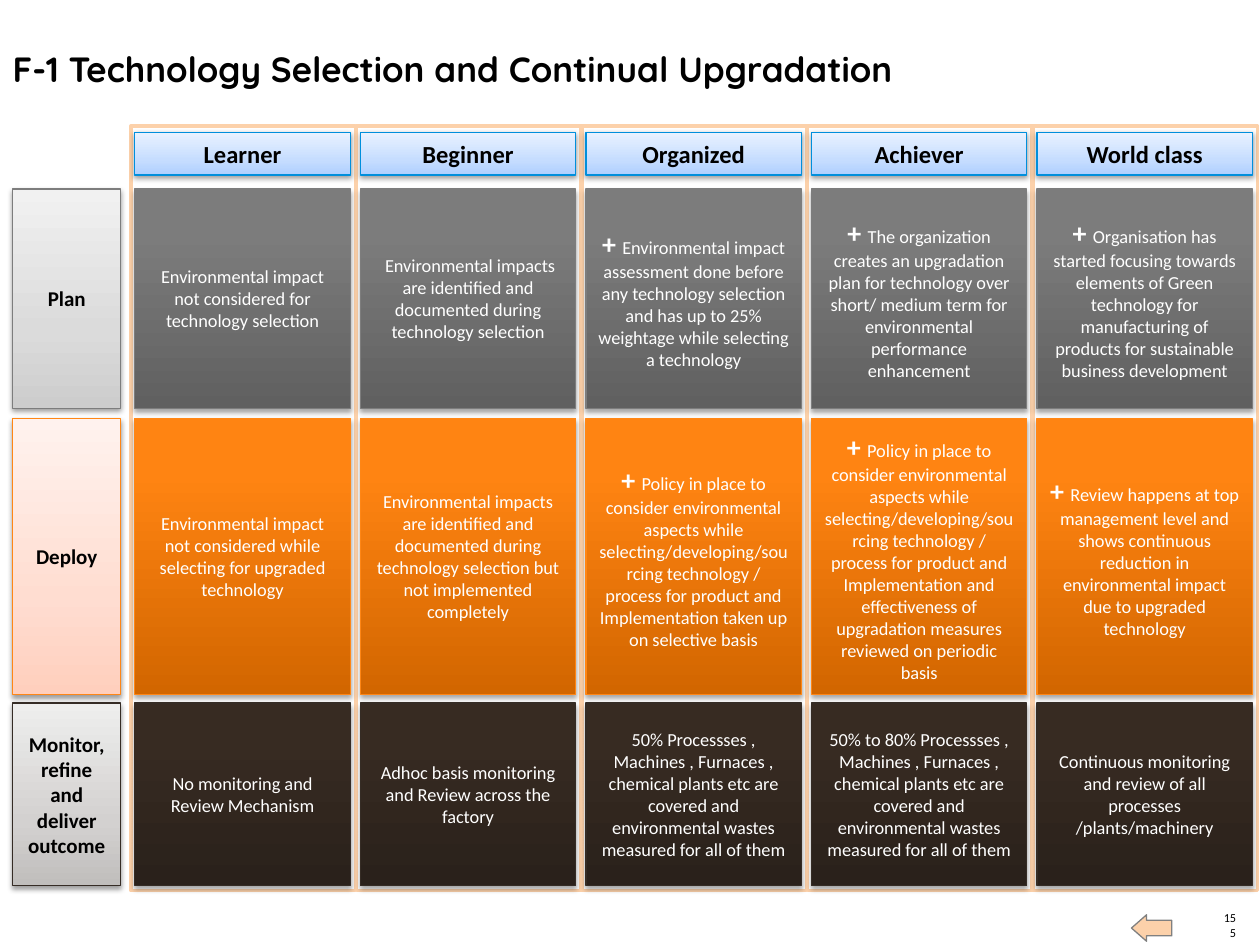
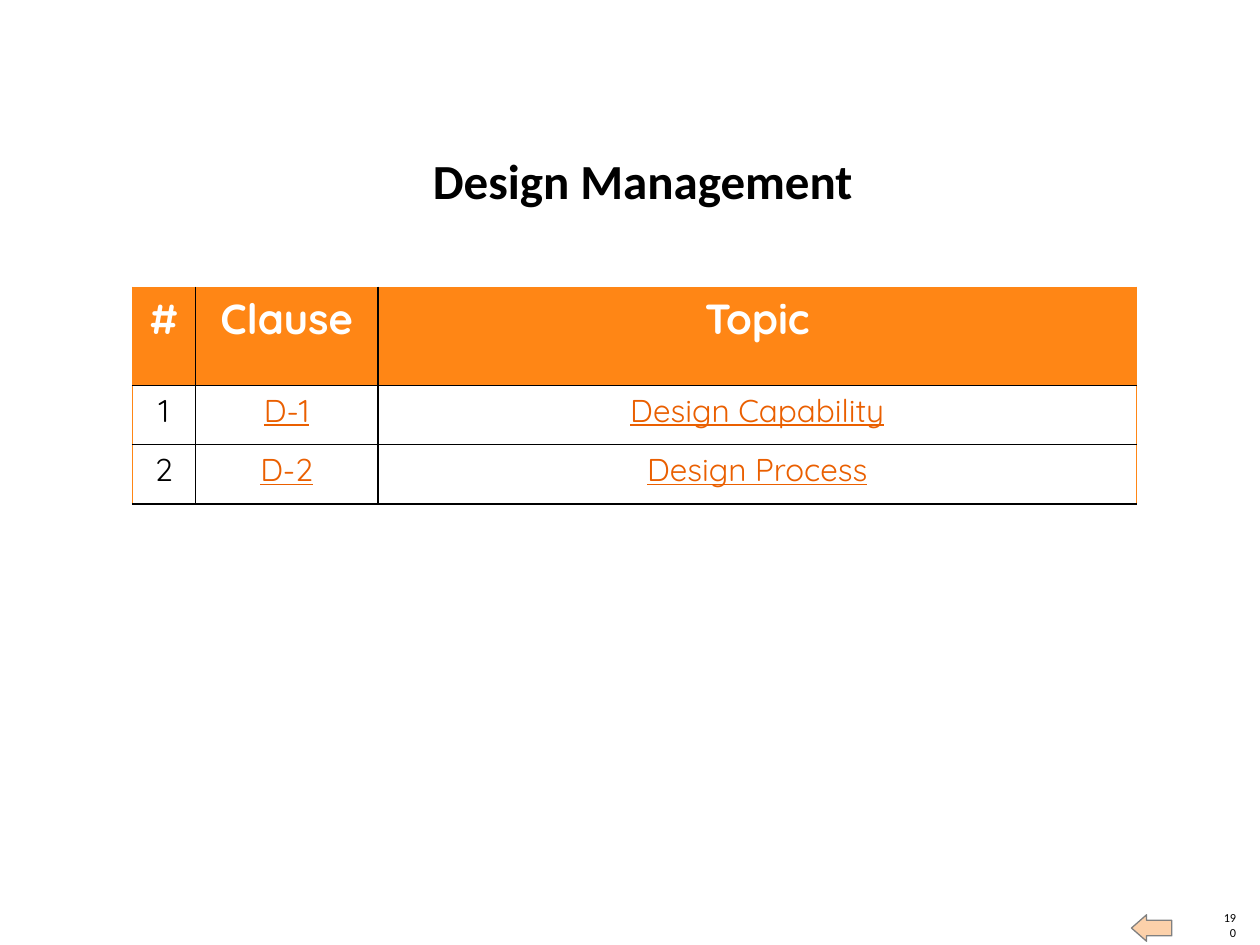
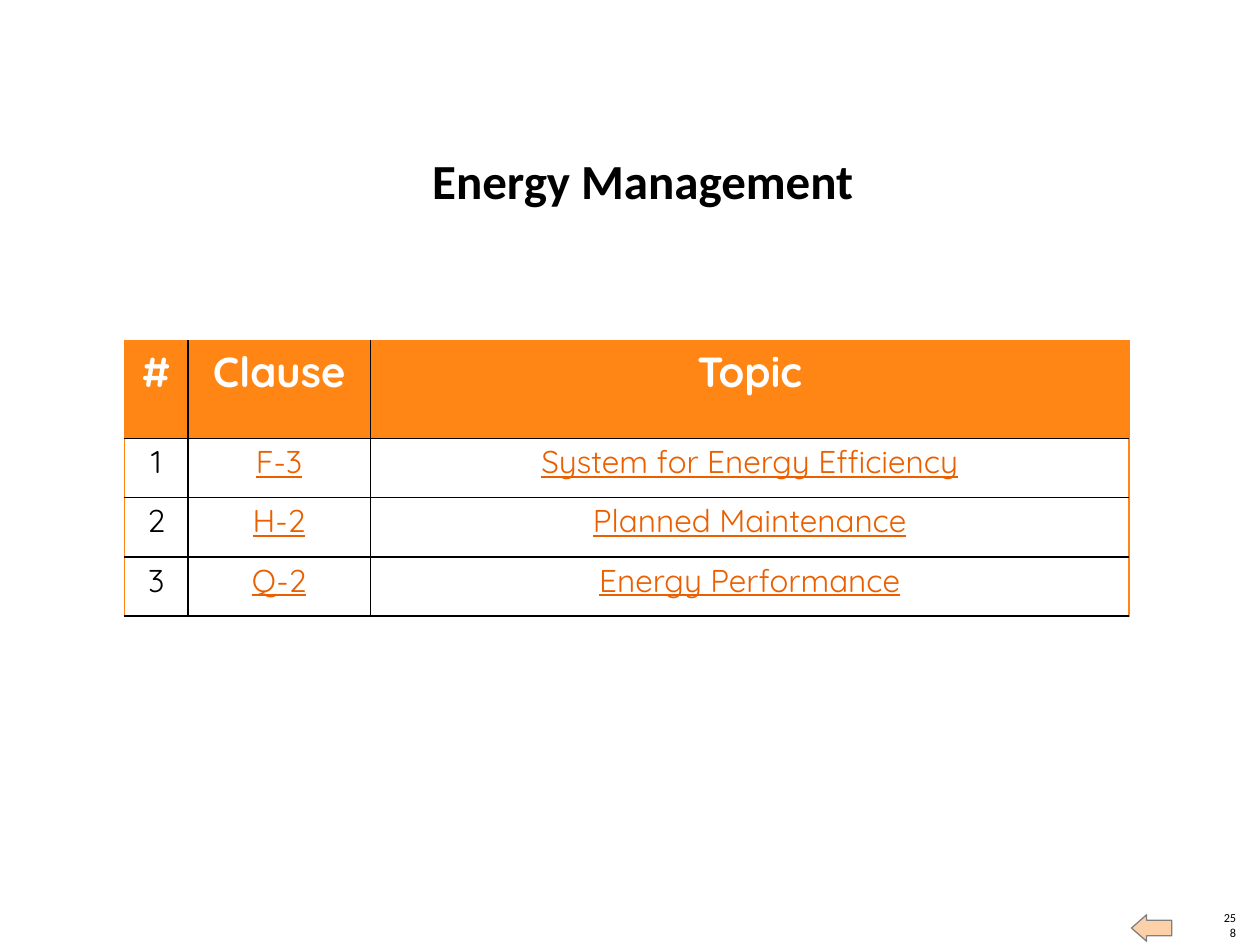
import copy

import lxml.etree
import pptx
import pptx.dml.color
import pptx.enum.shapes
import pptx.enum.text
import pptx.oxml.ns
import pptx.util

Inches = pptx.util.Inches
Pt = pptx.util.Pt
RGBColor = pptx.dml.color.RGBColor
Align = pptx.enum.text.PP_ALIGN
Anchor = pptx.enum.text.MSO_ANCHOR
Preset = pptx.enum.shapes.MSO_SHAPE
qn = pptx.oxml.ns.qn

# Shared look
BLACK = RGBColor(0x00, 0x00, 0x00)
WHITE = RGBColor(0xFF, 0xFF, 0xFF)
ORANGE = RGBColor(0xFF, 0x86, 0x15)
PEACH = RGBColor(0xFC, 0xD1, 0xAA)
LINK = RGBColor(0xEA, 0x5F, 0x00)
GREY = RGBColor(0x7D, 0x7D, 0x7D)
ARROW_EDGE = RGBColor(0x80, 0x80, 0x80)
BROWN = RGBColor(0x35, 0x2C, 0x25)
BLUE = RGBColor(0x00, 0x8F, 0xDC)
BODY_FONT = "Calibri"
DISPLAY_FONT = "Quicksand"

# Gradients run from the bottom up: (percent, colour)
LEVEL_FILL = [(0, RGBColor(0xAE, 0xCF, 0xFF)), (35, RGBColor(0xC6, 0xDD, 0xFF)),
              (100, RGBColor(0xE9, 0xF2, 0xFF))]
PALE_GREY = [(0, RGBColor(0xCD, 0xCD, 0xCD)), (35, RGBColor(0xDB, 0xDB, 0xDB)),
             (100, RGBColor(0xF1, 0xF1, 0xF1))]
PALE_ORANGE = [(0, RGBColor(0xFF, 0xCF, 0xBD)), (35, RGBColor(0xFF, 0xDD, 0xD1)),
               (100, RGBColor(0xFF, 0xF2, 0xEE))]
PALE_BROWN = [(0, RGBColor(0xC0, 0xBE, 0xBC)), (35, RGBColor(0xD3, 0xD1, 0xD0)),
              (100, RGBColor(0xEE, 0xEE, 0xED))]
DARK_GREY = [(0, RGBColor(0x60, 0x60, 0x60)), (80, RGBColor(0x7C, 0x7C, 0x7C)),
             (100, GREY)]
DARK_ORANGE = [(0, RGBColor(0xD2, 0x66, 0x00)), (80, RGBColor(0xFF, 0x84, 0x12)),
               (100, RGBColor(0xFF, 0x85, 0x14))]
DARK_BROWN = [(0, RGBColor(0x2A, 0x21, 0x1B)), (80, RGBColor(0x37, 0x2B, 0x22)),
              (100, RGBColor(0x37, 0x2B, 0x22))]

# Maturity matrix; a leading "+ " marks an added requirement
MATRIX_TITLE = "F-1 Technology Selection and Continual Upgradation"
LEVELS = ["Learner", "Beginner", "Organized", "Achiever", "World class"]
STAGES = [
    {"name": "Plan", "top": 1.5, "height": 1.74,
     "pale": PALE_GREY, "dark": DARK_GREY, "edge": GREY,
     "cells": [
         "Environmental impact not considered for technology selection",
         " Environmental impacts are identified and documented during technology selection",
         "+ Environmental impact assessment done before any technology selection and "
         "has up to 25% weightage while selecting a technology",
         "+ The organization creates an upgradation plan for technology over short/ "
         "medium term for environmental performance enhancement",
         "+ Organisation has started focusing towards elements of Green technology "
         "for manufacturing of products for sustainable business development"]},
    {"name": "Deploy", "top": 3.32, "height": 2.19,
     "pale": PALE_ORANGE, "dark": DARK_ORANGE, "edge": ORANGE,
     "cells": [
         "Environmental impact not considered while selecting for upgraded technology",
         "Environmental impacts are identified and documented during technology "
         "selection but not implemented completely",
         "+ Policy in place to consider environmental aspects while "
         "selecting/developing/sourcing technology / process for product and "
         "Implementation taken up on selective basis",
         "+ Policy in place to consider environmental aspects while "
         "selecting/developing/sourcing technology / process for product and "
         "Implementation and effectiveness of upgradation measures reviewed on "
         "periodic basis",
         "+ Review happens at top management level and shows continuous reduction "
         "in environmental impact due to upgraded technology"]},
    {"name": "Monitor, refine and deliver outcome", "top": 5.58, "height": 1.45,
     "pale": PALE_BROWN, "dark": DARK_BROWN, "edge": BROWN,
     "cells": [
         "No monitoring and Review Mechanism",
         "Adhoc basis monitoring and Review across the factory",
         "50% Processses , Machines , Furnaces , chemical plants etc are covered "
         "and environmental wastes measured for all of them",
         "50% to 80% Processses , Machines , Furnaces , chemical plants etc are "
         "covered and environmental wastes measured for all of them",
         "Continuous monitoring and review of all processes /plants/machinery"]},
]

# Clause lists
CLAUSE_HEADINGS = ["#", "Clause", "Topic"]
CLAUSE_PAGES = [
    {"title": "Design Management", "number": "190", "left": 1.05, "top": 2.28,
     "margins": (0.07, 0.04),
     "clauses": [("D-1", "Design Capability"), ("D-2", "Design Process")]},
    {"title": "Energy Management", "number": "258", "left": 0.99, "top": 2.7,
     "margins": (0.06, 0.03),
     "clauses": [("F-3", "System for Energy Efficiency"),
                 ("H-2", "Planned Maintenance"),
                 ("Q-2", "Energy Performance")]},
]
CLAUSE_WIDTHS = [0.5, 1.45, 6.02]
HEADING_HEIGHT, CLAUSE_HEIGHT = 0.78, 0.47

# Matrix grid
LABEL_LEFT, LABEL_WIDTH = 0.1, 0.86
COLUMN_LEFT, COLUMN_STEP, COLUMN_WIDTH = 1.07, 1.79, 1.71
FRAME_TOP, FRAME_WIDTH, FRAME_HEIGHT, FRAME_MARGIN = 1, 1.78, 6.07, 0.03
LEVEL_TOP, LEVEL_HEIGHT = 1.05, 0.34


def add_span(para, text, size, color, font=BODY_FONT, bold=False, underline=False):
    span = para.add_run()
    span.text = text
    span.font.name = font
    span.font.size = Pt(size)
    span.font.color.rgb = color
    span.font.bold = bold
    span.font.underline = underline


def set_margins(holder, across, down):
    holder.margin_left = holder.margin_right = Inches(across)
    holder.margin_top = holder.margin_bottom = Inches(down)


def add_preset(page, preset, left, top, width, height, edge, edge_width=0.75):
    box = page.shapes.add_shape(preset, Inches(left), Inches(top),
                                Inches(width), Inches(height))
    box.shadow.inherit = False
    box.line.color.rgb = edge
    box.line.width = Pt(edge_width)
    return box


def set_gradient(box, stops):
    box.fill.gradient()
    box.fill.gradient_angle = 90
    stop_list = box._element.spPr.find(".//" + qn("a:gsLst"))
    stop_list.append(copy.deepcopy(stop_list[0]))
    for stop, (percent, color) in zip(box.fill.gradient_stops, stops):
        stop.position = percent / 100
        stop.color.rgb = color


def add_shadow(box, opacity, distance):
    effects = box._element.spPr.find(qn("a:effectLst"))
    shadow = lxml.etree.SubElement(
        effects, qn("a:outerShdw"), blurRad=str(Pt(3.1)), dist=str(Pt(distance)),
        dir="5400000", rotWithShape="0")
    color = lxml.etree.SubElement(shadow, qn("a:srgbClr"), val=str(BLACK))
    lxml.etree.SubElement(color, qn("a:alpha"), val=str(opacity * 1000))


def add_tile(page, place, stops, edge, opacity=38, distance=1.6):
    """Add a shaded, shadowed box and return its centred paragraph."""
    box = add_preset(page, Preset.RECTANGLE, *place, edge)
    set_gradient(box, stops)
    add_shadow(box, opacity, distance)
    box.text_frame.word_wrap = True
    box.text_frame.vertical_anchor = Anchor.MIDDLE
    para = box.text_frame.paragraphs[0]
    para.alignment = Align.CENTER
    return para


def set_title(page, text, place, size, font, align, anchor, margins):
    title = page.shapes.title
    title.left, title.top, title.width, title.height = map(Inches, place)
    frame = title.text_frame
    frame.auto_size = pptx.enum.text.MSO_AUTO_SIZE.NONE
    frame.word_wrap = True
    frame.vertical_anchor = anchor
    set_margins(frame, *margins)
    frame.paragraphs[0].alignment = align
    add_span(frame.paragraphs[0], text, size, BLACK, font, bold=True)


def add_page(deck, number):
    """Add a title-only slide with the page number and the back arrow."""
    page = deck.slides.add_slide(deck.slide_layouts[5])
    box = page.shapes.add_textbox(Inches(9.69), Inches(7.34), Inches(0.12), Inches(0.12))
    frame = box.text_frame
    frame.word_wrap = True
    frame.vertical_anchor = Anchor.BOTTOM
    set_margins(frame, 0, 0)
    frame.paragraphs[0].alignment = Align.RIGHT
    add_span(frame.paragraphs[0], number, 7, BLACK)

    arrow = add_preset(page, Preset.RIGHT_ARROW, 8.98, 7.26, 0.32, 0.21, ARROW_EDGE)
    arrow.rotation = 180
    arrow.adjustments[0], arrow.adjustments[1] = 0.59, 0.57
    arrow.fill.solid()
    arrow.fill.fore_color.rgb = PEACH
    return page


def add_matrix_page(deck):
    page = add_page(deck, "155")
    set_title(page, MATRIX_TITLE, (0, 0.33, 8.6, 0.44), 20, DISPLAY_FONT,
              Align.LEFT, Anchor.TOP, (0.1, 0.05))
    lefts = [COLUMN_LEFT + COLUMN_STEP * i for i in range(len(LEVELS))]

    # Column frames and level headings
    for left in lefts:
        frame = add_preset(page, Preset.RECTANGLE, left - FRAME_MARGIN, FRAME_TOP,
                           FRAME_WIDTH, FRAME_HEIGHT, PEACH, 2)
        frame.fill.solid()
        frame.fill.fore_color.rgb = WHITE
    for left, level in zip(lefts, LEVELS):
        para = add_tile(page, (left, LEVEL_TOP, COLUMN_WIDTH, LEVEL_HEIGHT),
                        LEVEL_FILL, BLUE)
        add_span(para, level, 14, BLACK, bold=True)

    # Stage rows
    for stage in STAGES:
        top, height = stage["top"], stage["height"]
        para = add_tile(page, (LABEL_LEFT, top, LABEL_WIDTH, height),
                        stage["pale"], stage["edge"])
        add_span(para, stage["name"], 12, BLACK, bold=True)
        for left, text in zip(lefts, stage["cells"]):
            para = add_tile(page, (left, top, COLUMN_WIDTH, height),
                            stage["dark"], stage["edge"], 35, 1.8)
            if text.startswith("+ "):
                add_span(para, "+ ", 16, WHITE, bold=True)
            add_span(para, text.removeprefix("+ "), 10.5, WHITE)


def set_borders(cell, borders):
    properties = cell._tc.get_or_add_tcPr()
    for side, (color, width) in borders.items():
        line = lxml.etree.SubElement(properties, qn("a:ln" + side), w=str(Pt(width)))
        fill = lxml.etree.SubElement(line, qn("a:solidFill"))
        lxml.etree.SubElement(fill, qn("a:srgbClr"), val=str(color))


def add_clause_page(deck, content):
    page = add_page(deck, content["number"])
    set_title(page, content["title"], (3.03, 1.19, 4.14, 0.47), 28, BODY_FONT,
              Align.CENTER, Anchor.BOTTOM, (0, 0))

    rows = [CLAUSE_HEADINGS]
    rows += [(str(i), *clause) for i, clause in enumerate(content["clauses"], 1)]
    heights = [HEADING_HEIGHT] + [CLAUSE_HEIGHT] * len(content["clauses"])
    table = page.shapes.add_table(
        len(rows), len(CLAUSE_WIDTHS), Inches(content["left"]), Inches(content["top"]),
        Inches(sum(CLAUSE_WIDTHS)), Inches(sum(heights))).table
    table.first_row = table.horz_banding = False
    for column, width in zip(table.columns, CLAUSE_WIDTHS):
        column.width = Inches(width)

    inner, outer = (BLACK, 1), (ORANGE, 0.75)
    last = len(CLAUSE_WIDTHS) - 1
    for r, texts in enumerate(rows):
        table.rows[r].height = Inches(heights[r])
        heading = r == 0
        for c, text in enumerate(texts):
            cell = table.cell(r, c)
            set_borders(cell, {"L": outer if c == 0 else inner,
                               "R": outer if c == last else inner,
                               "T": outer if heading else inner,
                               "B": inner})
            cell.fill.solid()
            cell.fill.fore_color.rgb = ORANGE if heading else WHITE
            set_margins(cell, *((0.07, 0.04) if heading else content["margins"]))
            para = cell.text_frame.paragraphs[0]
            para.alignment = Align.CENTER
            if heading:
                add_span(para, text, 24, WHITE, DISPLAY_FONT, bold=True)
            else:
                linked = c > 0
                add_span(para, text, 18, LINK if linked else BLACK, DISPLAY_FONT,
                         underline=linked)


def main():
    deck = pptx.Presentation()
    deck.slide_width, deck.slide_height = Inches(10), Inches(7.5)
    add_matrix_page(deck)
    for content in CLAUSE_PAGES:
        add_clause_page(deck, content)
    deck.save("out.pptx")


if __name__ == "__main__":
    main()
